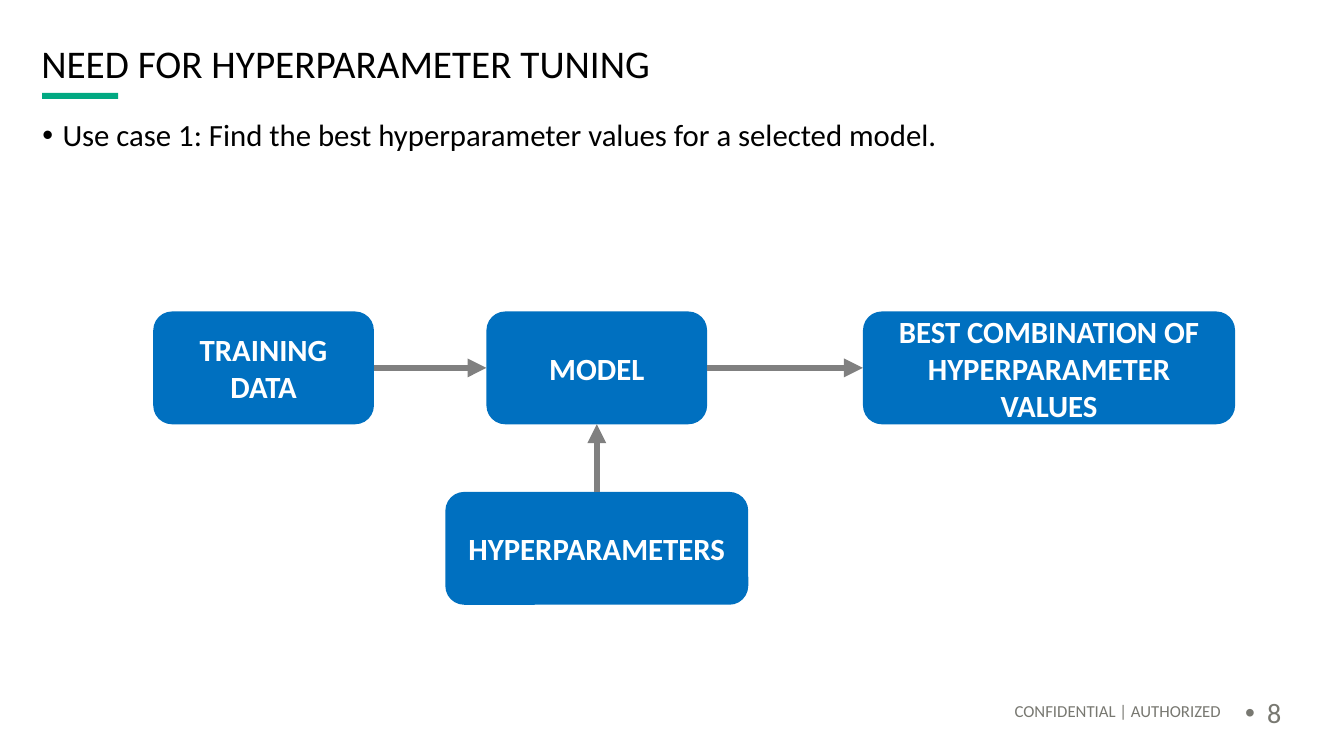
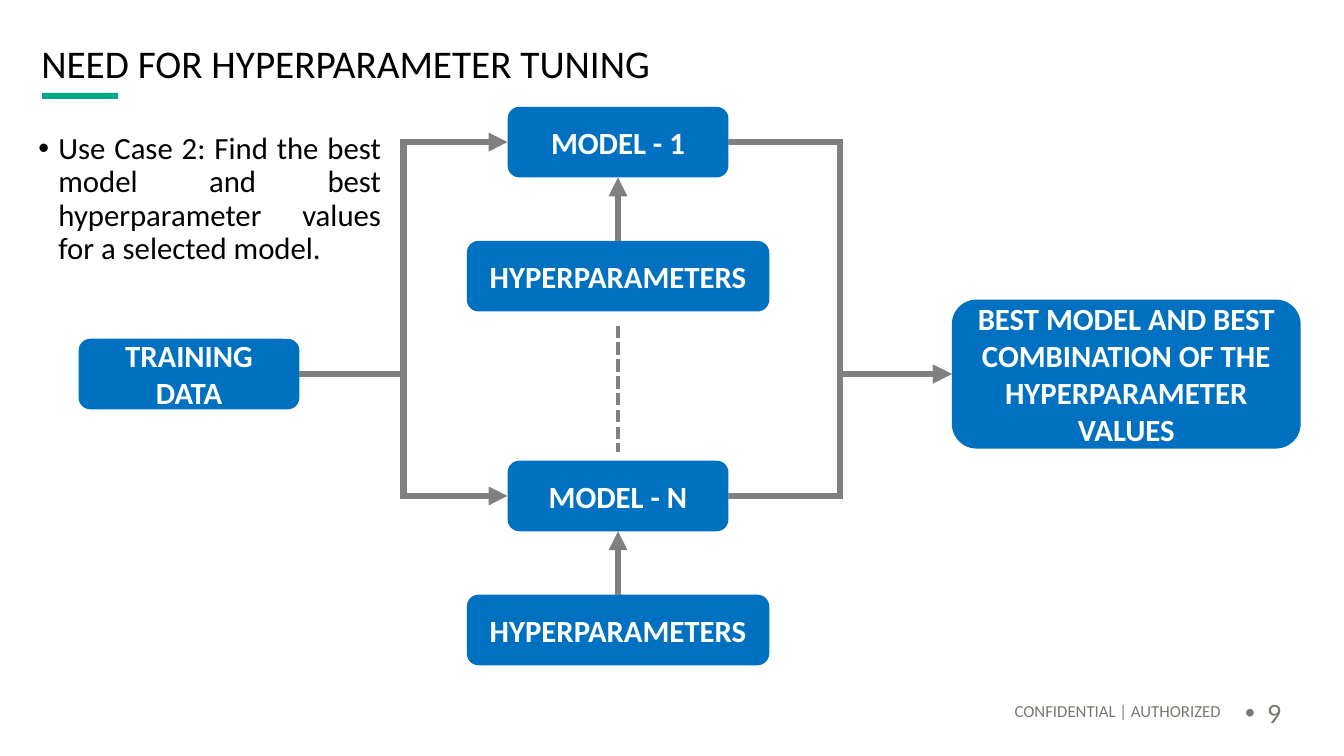
import dataclasses

import lxml.etree
import pptx
import pptx.dml.color
import pptx.enum.dml
import pptx.enum.shapes
import pptx.enum.text
import pptx.oxml.ns
import pptx.util

SLIDE_WIDTH, SLIDE_HEIGHT = 13.33, 7.5
GREEN, BLUE, GRAY, FOOTER_GRAY = "01A982", "0070C0", "808080", "787871"
BLACK, WHITE = "000000", "FFFFFF"
FONT = "Calibri"
TITLE = "NEED FOR HYPERPARAMETER TUNING"

ALIGN = pptx.enum.text.PP_ALIGN
ANCHOR = pptx.enum.text.MSO_ANCHOR
SHAPE = pptx.enum.shapes.MSO_SHAPE
CONNECTOR = pptx.enum.shapes.MSO_CONNECTOR
TOP, LEFT, BOTTOM, RIGHT = range(4)  # connection sites of a node


@dataclasses.dataclass
class Box:
    """A region in inches, divided into 100 columns and 100 rows."""
    left: float
    top: float
    width: float
    height: float

    def point(self, column, row):
        return self.left + self.width * column / 100, self.top + self.height * row / 100

    def centered(self, column, row, columns, rows):
        center_x, center_y = self.point(column, row)
        width, height = self.width * columns / 100, self.height * rows / 100
        return Box(center_x - width / 2, center_y - height / 2, width, height)

    def lengths(self):
        return [pptx.util.Inches(length) for length in dataclasses.astuple(self)]


def color(hex_string):
    return pptx.dml.color.RGBColor.from_string(hex_string)


def add_xml(parent, tag, **attributes):
    return lxml.etree.SubElement(parent, pptx.oxml.ns.qn(tag), attributes)


def place(shape, box):
    shape.left, shape.top, shape.width, shape.height = box.lengths()


def write(shape, text, size, hex_string, align=ALIGN.LEFT, anchor=ANCHOR.MIDDLE,
          insets=(0.1, 0.1, 0.1, 0.1), spacing=0.9, before=0, bold=False, indent=0):
    """Write one paragraph; an indent makes it a bullet."""
    frame = shape.text_frame
    frame.word_wrap = True
    frame.auto_size = pptx.enum.text.MSO_AUTO_SIZE.NONE
    frame.vertical_anchor = anchor
    frame.margin_left, frame.margin_top, frame.margin_right, frame.margin_bottom = [
        pptx.util.Inches(inset) for inset in insets]
    frame.text = text
    paragraph = frame.paragraphs[0]
    paragraph.alignment = align
    paragraph.line_spacing = spacing
    paragraph.space_before = pptx.util.Pt(before)
    if indent:
        properties = paragraph._p.get_or_add_pPr()
        properties.set("marL", str(pptx.util.Inches(indent)))
        properties.set("indent", str(-pptx.util.Inches(indent)))
        add_xml(properties, "a:buFont", typeface="Arial")
        add_xml(properties, "a:buChar", char="•")
    font = paragraph.font
    font.name, font.size, font.bold = FONT, pptx.util.Pt(size), bold
    font.color.rgb = color(hex_string)


def add_block(slide, kind, box, hex_string):
    shape = slide.shapes.add_shape(kind, *box.lengths())
    shape.shadow.inherit = False
    shape.fill.solid()
    shape.fill.fore_color.rgb = color(hex_string)
    shape.line.fill.background()
    return shape


def add_node(slide, box, text):
    node = add_block(slide, SHAPE.ROUNDED_RECTANGLE, box, BLUE)
    write(node, text, 22, WHITE, align=ALIGN.CENTER, spacing=1, bold=True)
    return node


def add_line(slide, start, end, kind=CONNECTOR.STRAIGHT, weight=4.5):
    line = slide.shapes.add_connector(kind, *start, *end)
    line.line.color.rgb = color(GRAY)
    line.line.width = pptx.util.Pt(weight)
    add_xml(line._element.spPr, "a:effectLst")
    return line


def site_point(node, site):
    middle_x, middle_y = node.left + node.width // 2, node.top + node.height // 2
    return {TOP: (middle_x, node.top), LEFT: (node.left, middle_y),
            BOTTOM: (middle_x, node.top + node.height),
            RIGHT: (node.left + node.width, middle_y)}[site]


def link(slide, source, target, sites=(RIGHT, LEFT), kind=CONNECTOR.STRAIGHT):
    """Join two nodes with an arrow that stays attached to them."""
    arrow = add_line(slide, site_point(source, sites[0]), site_point(target, sites[1]), kind)
    outline = arrow.line._get_or_add_ln()
    add_xml(outline, "a:miter", lim="800000")
    add_xml(outline, "a:tailEnd", type="triangle")
    arrow.begin_connect(source, sites[0])
    arrow.end_connect(target, sites[1])


def add_frame(slide, number):
    """Title, accent bar and footer, shared by all slides."""
    page = Box(0, 0, SLIDE_WIDTH, SLIDE_HEIGHT)
    write(slide.shapes.title, TITLE, 28, BLACK)
    place(slide.shapes.title, page.centered(49.47, 8.67, 94.3, 5.87))
    add_block(slide, SHAPE.RECTANGLE, page.centered(5.96, 12.7, 5.65, 0.8), GREEN)
    # Footer
    footer = slide.shapes.add_textbox(*page.centered(61.2, 92.35, 61.4, 6).lengths())
    write(footer, "CONFIDENTIAL | AUTHORIZED", 12, FOOTER_GRAY, align=ALIGN.RIGHT,
          anchor=ANCHOR.BOTTOM, insets=(0.1, 0, 0.14, 0))
    page_number = slide.shapes.add_textbox(*page.centered(94.7, 94.55, 5.6, 5.33).lengths())
    write(page_number, str(number), 20, FOOTER_GRAY,
          insets=(0.1, 0.05, 0.1, 0.05), indent=0.22)


def add_tuning_slide(presentation, number, text, text_box, align, draw_diagram, diagram_box):
    slide = presentation.slides.add_slide(presentation.slide_layouts[1])
    add_frame(slide, number)
    body = slide.placeholders[1]
    place(body, text_box)
    write(body, text, 22, BLACK, align=align, anchor=ANCHOR.TOP,
          insets=(0, 0.1, 0, 0.1), before=4, indent=0.2)
    draw_diagram(slide, diagram_box)


def draw_single_model(slide, box):
    row, height = 19.24, 38.48
    training = add_node(slide, box.centered(10.2, row, 20.4, height), "TRAINING DATA")
    model = add_node(slide, box.centered(41, row, 20.4, height), "MODEL")
    result = add_node(slide, box.centered(82.8, row, 34.4, height),
                      "BEST COMBINATION OF HYPERPARAMETER VALUES")
    parameters = add_node(slide, box.centered(41, 100 - row, 28, height), "HYPERPARAMETERS")
    link(slide, training, model)
    link(slide, model, result)
    link(slide, parameters, model, (TOP, BOTTOM))


def draw_many_models(slide, box):
    middle_column, middle_row, height = 44.14, 47.85, 12.64
    training = add_node(slide, box.centered(9.03, middle_row, 18.07, height), "TRAINING DATA")
    result = add_node(slide, box.centered(85.73, middle_row, 28.55, 26.7),
                      "BEST MODEL AND BEST COMBINATION OF THE HYPERPARAMETER VALUES")
    # Each model with its hyperparameters below
    for name, row in (("MODEL - 1", 6.32), ("MODEL - N", 69.68)):
        model = add_node(slide, box.centered(middle_column, row, 18.07, height), name)
        parameters = add_node(slide, box.centered(middle_column, row + 24, 24.75, height),
                              "HYPERPARAMETERS")
        link(slide, parameters, model, (TOP, BOTTOM))
        link(slide, training, model, kind=CONNECTOR.ELBOW)
        link(slide, model, result, kind=CONNECTOR.ELBOW)
    # Dashes for the models in between
    start, end = [[pptx.util.Inches(length) for length in box.point(middle_column, row)]
                  for row in (39.17, 61.73)]
    dashes = add_line(slide, start, end, weight=3)
    dashes.line.dash_style = pptx.enum.dml.MSO_LINE.SQUARE_DOT


def main():
    presentation = pptx.Presentation()
    presentation.slide_width = pptx.util.Inches(SLIDE_WIDTH)
    presentation.slide_height = pptx.util.Inches(SLIDE_HEIGHT)
    add_tuning_slide(
        presentation, 8, "Use case 1: Find the best hyperparameter values for a selected model.",
        Box(0.42, 1.09, 12.47, 5.57), ALIGN.LEFT,
        draw_single_model, Box(1.52, 3.09, 10.73, 2.91))
    add_tuning_slide(
        presentation, 9,
        "Use Case 2: Find the best model and best hyperparameter values for a selected model.",
        Box(0.38, 1.22, 3.4, 2.01), ALIGN.JUSTIFY,
        draw_many_models, Box(0.78, 1.06, 12.12, 5.54))
    presentation.save("out.pptx")


if __name__ == "__main__":
    main()
